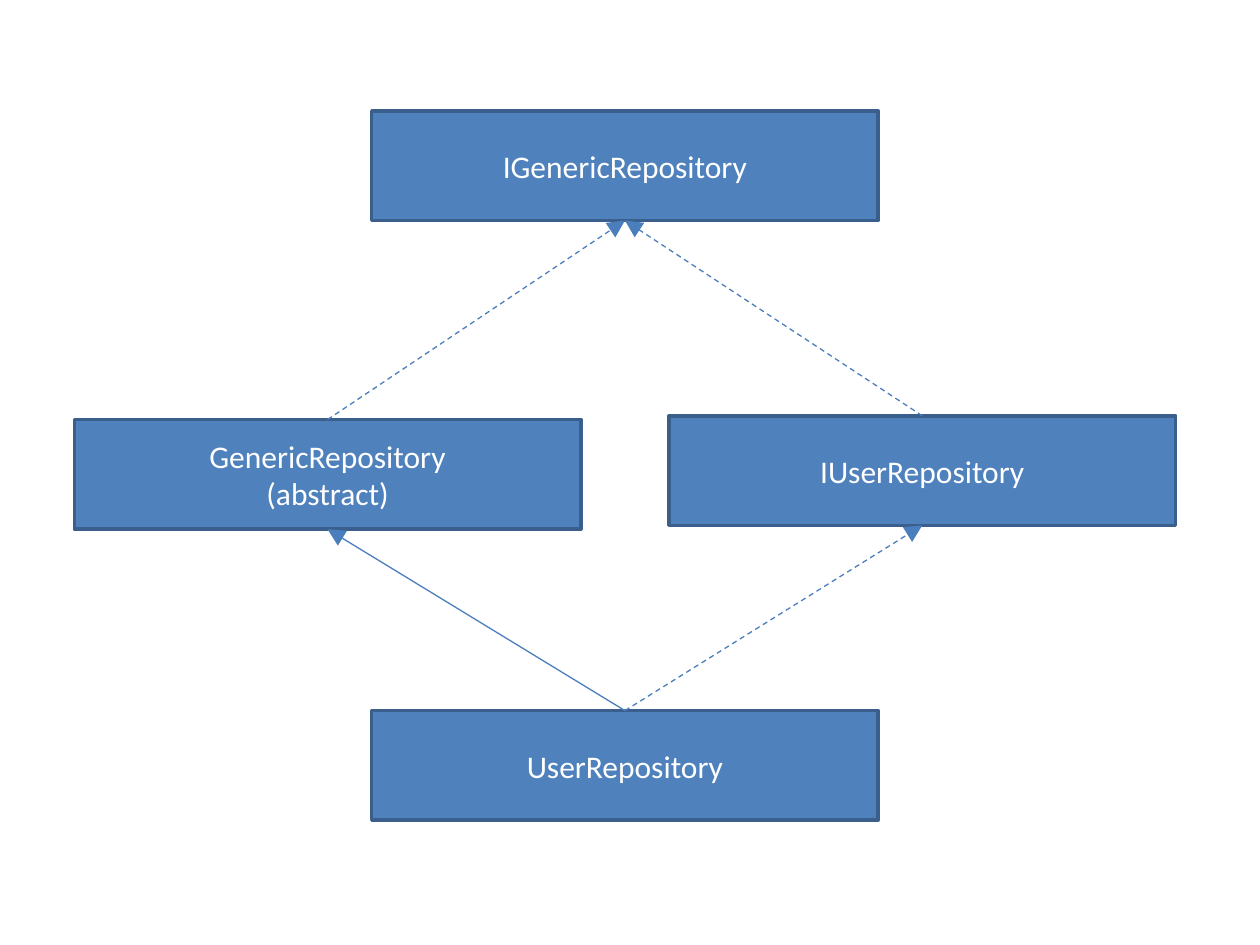
import pptx
import pptx.util
import pptx.dml.color
import pptx.enum.dml
import pptx.enum.shapes
import pptx.enum.text
import pptx.oxml
import pptx.oxml.ns
from dataclasses import dataclass

Inches = pptx.util.Inches
Pt = pptx.util.Pt
RGB = pptx.dml.color.RGBColor.from_string


@dataclass(frozen=True)
class Theme:
    font: str = "Calibri"
    size: float = 18
    text: str = "FFFFFF"
    box_fill: str = "4F81BD"
    box_line: str = "3A5F8C"
    box_line_width: float = 2
    arrow: str = "4B7EBC"
    arrow_width: float = 0.75


theme = Theme()
BOX_WIDTH, BOX_HEIGHT = 4.02, 0.87
TOP_SITE, BOTTOM_SITE = 0, 2

types = {
    "IGenericRepository": (["IGenericRepository"], 2.95, 0.88),
    "GenericRepository": (["GenericRepository", "(abstract)"], 0.59, 3.33),
    "IUserRepository": (["IUserRepository"], 5.31, 3.3),
    "UserRepository": (["UserRepository"], 2.95, 5.64),
}
inheritance = [
    ("UserRepository", "GenericRepository", False),
    ("UserRepository", "IUserRepository", True),
    ("IUserRepository", "IGenericRepository", True),
    ("GenericRepository", "IGenericRepository", True),
]


def add_type(slide, label, left, top):
    box = slide.shapes.add_shape(
        pptx.enum.shapes.MSO_SHAPE.RECTANGLE,
        Inches(left), Inches(top), Inches(BOX_WIDTH), Inches(BOX_HEIGHT))
    box.shadow.inherit = False
    box.fill.solid()
    box.fill.fore_color.rgb = RGB(theme.box_fill)
    box.line.color.rgb = RGB(theme.box_line)
    box.line.width = Pt(theme.box_line_width)
    frame = box.text_frame
    frame.word_wrap = True
    frame.vertical_anchor = pptx.enum.text.MSO_ANCHOR.MIDDLE
    frame.text = "\n".join(label)
    for paragraph in frame.paragraphs:
        paragraph.alignment = pptx.enum.text.PP_ALIGN.CENTER
        for run in paragraph.runs:
            run.font.name = theme.font
            run.font.size = Pt(theme.size)
            run.font.color.rgb = RGB(theme.text)
    return box


def add_arrow(slide, child, parent, dashed):
    arrow = slide.shapes.add_connector(
        pptx.enum.shapes.MSO_CONNECTOR.STRAIGHT, 0, 0, 0, 0)
    arrow.begin_connect(child, TOP_SITE)
    arrow.end_connect(parent, BOTTOM_SITE)
    arrow.line.color.rgb = RGB(theme.arrow)
    arrow.line.width = Pt(theme.arrow_width)
    if dashed:
        arrow.line.dash_style = pptx.enum.dml.MSO_LINE.DASH
    head = pptx.oxml.parse_xml(
        f'<a:tailEnd {pptx.oxml.ns.nsdecls("a")} type="triangle" w="lg" len="lg"/>')
    arrow.line._get_or_add_ln().append(head)
    arrow._element.spPr.append(
        pptx.oxml.parse_xml(f'<a:effectLst {pptx.oxml.ns.nsdecls("a")}/>'))


deck = pptx.Presentation()
deck.slide_width, deck.slide_height = Inches(10), Inches(7.5)
slide = deck.slides.add_slide(deck.slide_layouts[6])

boxes = {name: add_type(slide, *place) for name, place in types.items()}
for child, parent, dashed in inheritance:
    add_arrow(slide, boxes[child], boxes[parent], dashed)

deck.save("out.pptx")
